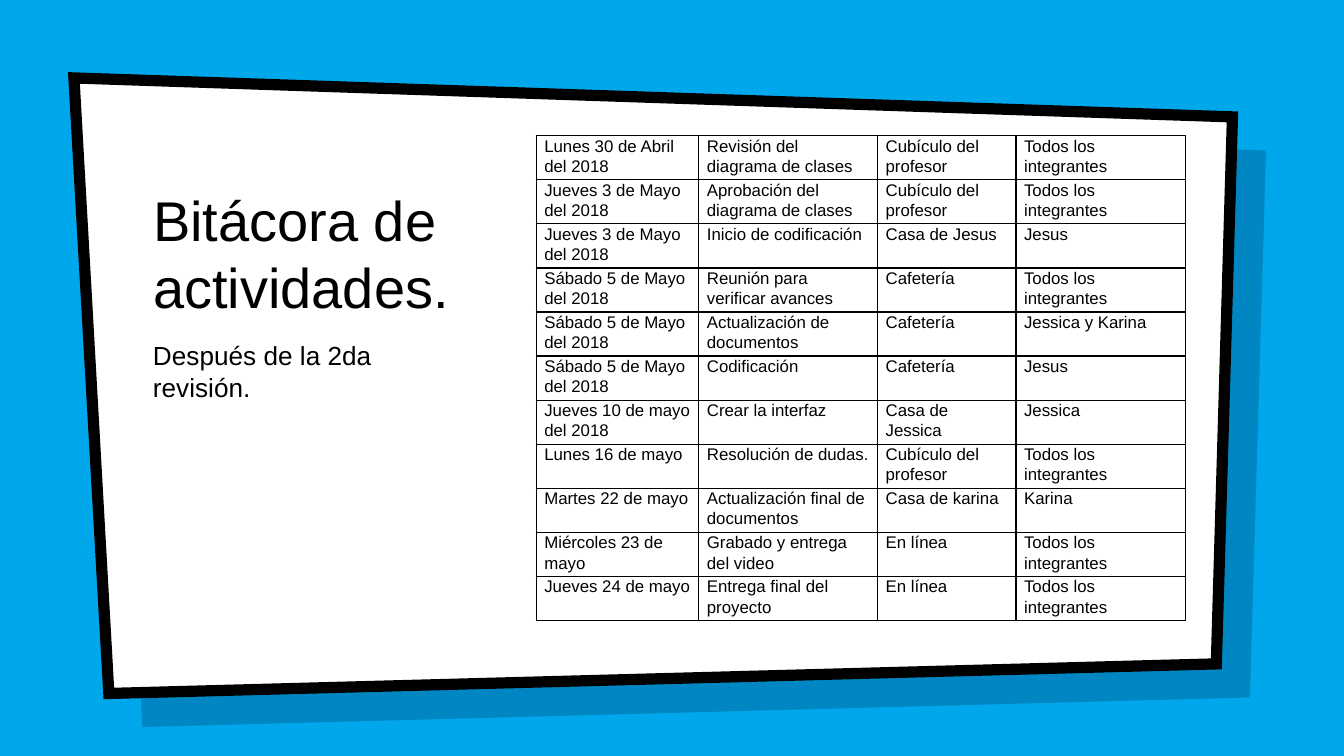
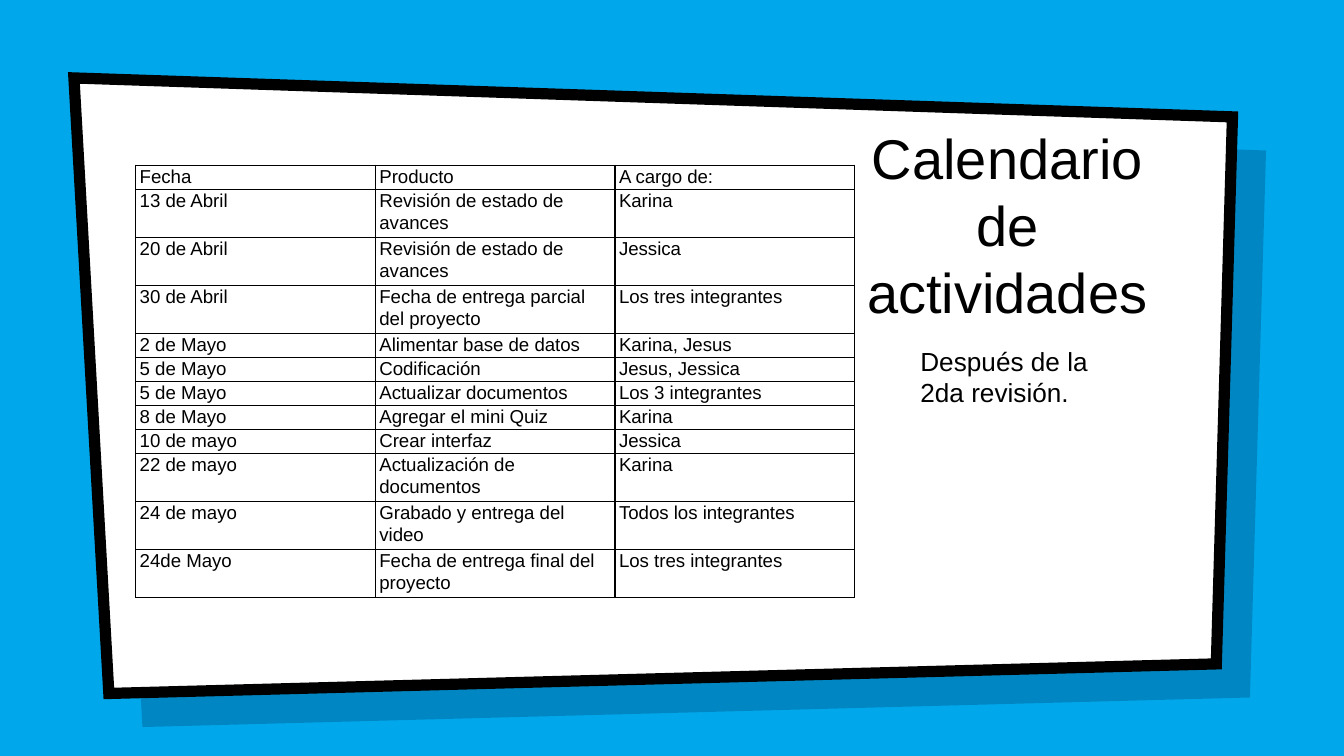
from pptx import Presentation
from pptx import util as u
from pptx.dml import color
from pptx.enum import text
from pptx.oxml import parse_xml
from pptx.oxml.ns import nsdecls, qn
from lxml import etree

WIDE = 10
HIGH = WIDE * 9 / 16
FONT = "Arial"
HUES = {"sky": "00A7EB", "shade": "001936", "paper": "FFFFFF", "ink": "000000"}
PANEL = [(0.55, 0.58), (9.17, 0.87), (9.05, 4.94), (0.81, 5.16)]
SHIFT = 0.25
NOTE = "Después de la 2da revisión."

ALL = "Todos los integrantes"
THREE = "Los tres integrantes"
OFFICE = "Cubículo del profesor"
CAFE = "Cafetería"
SAT = "Sábado 5 de Mayo del 2018"
THU = "Jueves 3 de Mayo del 2018"
LOG = [
    ("Lunes 30 de Abril del 2018", "Revisión del diagrama de clases", OFFICE, ALL),
    (THU, "Aprobación del diagrama de clases", OFFICE, ALL),
    (THU, "Inicio de codificación", "Casa de Jesus", "Jesus"),
    (SAT, "Reunión para verificar avances", CAFE, ALL),
    (SAT, "Actualización de documentos", CAFE, "Jessica y Karina"),
    (SAT, "Codificación", CAFE, "Jesus"),
    ("Jueves 10 de mayo del 2018", "Crear la interfaz", "Casa de Jessica", "Jessica"),
    ("Lunes 16 de mayo", "Resolución de dudas.", OFFICE, ALL),
    ("Martes 22 de mayo", "Actualización final de documentos", "Casa de karina", "Karina"),
    ("Miércoles 23 de mayo", "Grabado y entrega del video", "En línea", ALL),
    ("Jueves 24 de mayo", "Entrega final del proyecto", "En línea", ALL),
]
PLAN = [
    ("Fecha", "Producto", "A cargo de:"),
    ("13 de Abril", "Revisión de estado de avances", "Karina"),
    ("20 de Abril", "Revisión de estado de avances", "Jessica"),
    ("30 de Abril", "Fecha de entrega parcial del proyecto", THREE),
    ("2 de Mayo", "Alimentar base de datos", "Karina, Jesus"),
    ("5 de Mayo", "Codificación", "Jesus, Jessica"),
    ("5 de Mayo", "Actualizar documentos", "Los 3 integrantes"),
    ("8 de Mayo", "Agregar el mini Quiz", "Karina"),
    ("10 de mayo", "Crear interfaz", "Jessica"),
    ("22 de mayo", "Actualización de documentos", "Karina"),
    ("24 de mayo", "Grabado y entrega del video", ALL),
    ("24de Mayo", "Fecha de entrega final del proyecto", THREE),
]


def rgb(name):
    """Return the named colour."""
    return color.RGBColor.from_string(HUES[name])


def inch(*vals):
    """Turn inches into lengths."""
    return [u.Inches(v) for v in vals]


def style(para, size, lead=None):
    """Set the font and line spacing of a paragraph."""
    para.font.name, para.font.size = FONT, u.Pt(size)
    para.font.color.rgb = rgb("ink")
    if lead:
        para.line_spacing = lead


def panel(slide, layout, gap, hue):
    """Draw the tilted panel, offset by gap, and put it on the layout."""
    pts = [inch(x + gap, y + gap) for x, y in PANEL]
    pen = slide.shapes.build_freeform(*pts[0])
    pen.add_line_segments(pts[1:], close=True)
    shape = pen.convert_to_shape()
    shape.shadow.inherit = False
    shape.fill.solid()
    shape.fill.fore_color.rgb = rgb(hue)
    layout.shapes.element.append(shape.element)
    return shape


def theme(slide, layout):
    """Give the layout its background, panel and panel shade."""
    for hold in list(layout.placeholders):
        if hold.placeholder_format.idx:
            hold.element.getparent().remove(hold.element)
    layout.background.fill.solid()
    layout.background.fill.fore_color.rgb = rgb("sky")
    shade = panel(slide, layout, SHIFT, "shade")
    shade.line.fill.background()
    tint = next(shade.element.iter(qn("a:srgbClr")))
    etree.SubElement(tint, qn("a:alpha")).set("val", "22000")
    sheet = panel(slide, layout, 0, "paper")
    sheet.line.color.rgb = rgb("ink")
    sheet.line.width = u.Pt(6)
    mitre = parse_xml(f'<a:miter {nsdecls("a")} lim="800000"/>')
    sheet.element.spPr.find(qn("a:ln")).append(mitre)


def title(slide, words, box, align):
    """Place and format the slide title."""
    head = slide.shapes.title
    head.left, head.top, head.width, head.height = inch(*box)
    frame = head.text_frame
    frame.text = words
    frame.word_wrap = True
    frame.auto_size = text.MSO_AUTO_SIZE.NONE
    frame.vertical_anchor = text.MSO_ANCHOR.BOTTOM
    frame.margin_left = frame.margin_right = u.Inches(0.1)
    frame.margin_top = frame.margin_bottom = u.Inches(0.1)
    para = frame.paragraphs[0]
    para.alignment = align
    style(para, 30)


def note(slide, box):
    """Add the remark under the title."""
    frame = slide.shapes.add_textbox(*inch(*box)).text_frame
    frame.word_wrap = True
    frame.auto_size = text.MSO_AUTO_SIZE.SHAPE_TO_FIT_TEXT
    frame.text = NOTE
    style(frame.paragraphs[0], 14)


def border(cell):
    """Draw thin lines on all four sides of a cell."""
    props = cell._tc.get_or_add_tcPr()
    for spot, side in enumerate("LRTB"):
        props.insert(spot, parse_xml(
            f'<a:ln{side} {nsdecls("a")} w="{u.Pt(0.75)}"><a:solidFill>'
            f'<a:srgbClr val="{HUES["ink"]}"/></a:solidFill></a:ln{side}>'))


def grid(slide, rows, spot, cols, highs, size, pad):
    """Add a ruled table with the given column widths and row heights."""
    box = inch(*spot, sum(cols), sum(highs))
    table = slide.shapes.add_table(len(rows), len(cols), *box).table
    table.first_row = table.horz_banding = False
    for col, wide in zip(table.columns, cols):
        col.width = u.Inches(wide)
    for row, high, words in zip(table.rows, highs, rows):
        row.height = u.Inches(high)
        for cell, word in zip(row.cells, words):
            cell.text = word
            cell.margin_left = cell.margin_right = u.Inches(pad)
            cell.margin_top = cell.margin_bottom = 0
            cell.fill.background()
            border(cell)
            style(cell.text_frame.paragraphs[0], size, 1.07)


def main():
    """Build both slides and save them."""
    deck = Presentation()
    deck.slide_width, deck.slide_height = inch(WIDE, HIGH)
    layout = deck.slide_layouts[5]

    log = deck.slides.add_slide(layout)
    theme(log, layout)
    title(log, "Bitácora de actividades.", (1.04, 0.76, 3.27, 1.72),
          text.PP_ALIGN.LEFT)
    note(log, (1.04, 2.48, 2.33, 0.57))
    grid(log, LOG, (3.99, 1.01), (1.21, 1.33, 1.03, 1.26),
         [3.61 / len(LOG)] * len(LOG), 9, 0.06)

    plan = deck.slides.add_slide(layout)
    title(plan, "Calendario de actividades", (6.33, -0.07, 2.33, 2.59),
          text.PP_ALIGN.CENTER)
    note(plan, (6.75, 2.52, 1.76, 0.57))
    highs = [0.29 if len(row[1]) > 24 else 0.14 for row in PLAN]
    grid(plan, PLAN, (1.01, 1.23), [5.35 / 3] * 3, highs, 10, 0.03)

    deck.save("out.pptx")


main()
